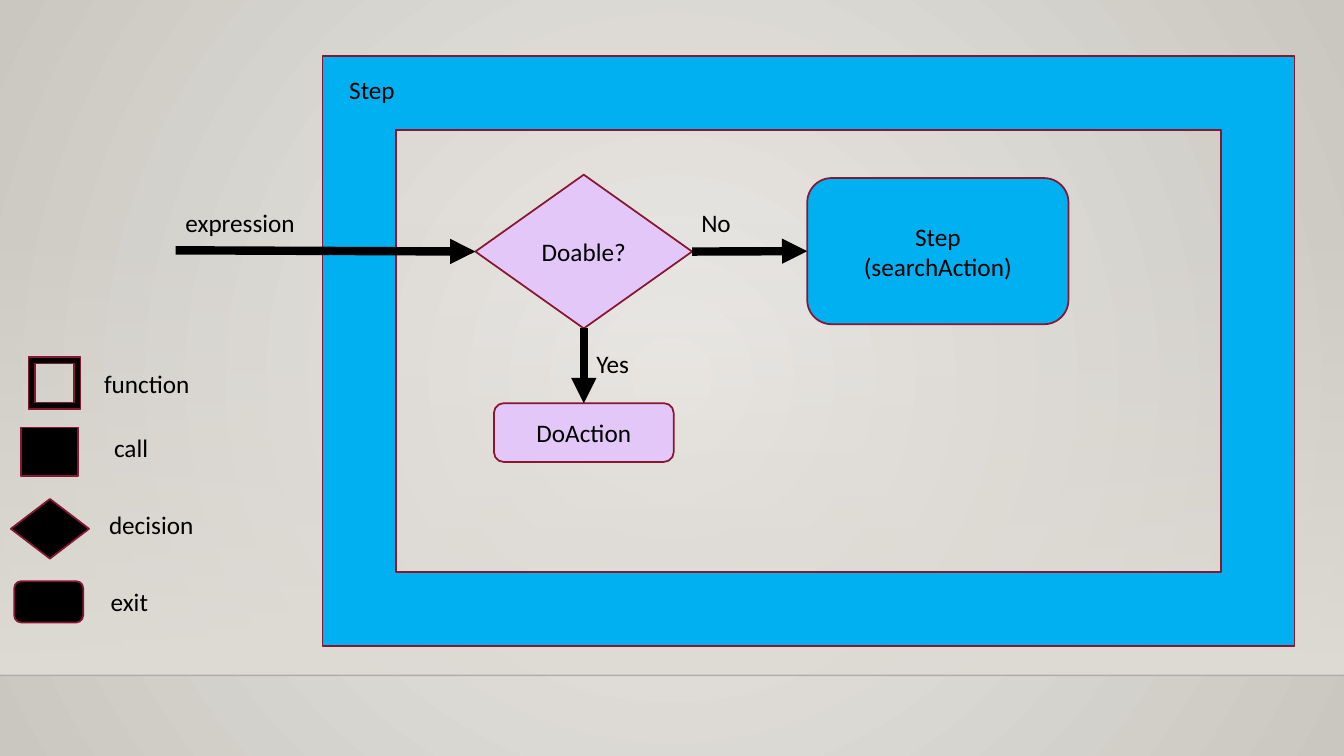
import pptx
import pptx.dml.color
import pptx.enum.shapes
import pptx.enum.text
import pptx.oxml
import pptx.oxml.ns
import pptx.util

SHAPE = pptx.enum.shapes.MSO_SHAPE
ALIGN = pptx.enum.text.PP_ALIGN
ANCHOR = pptx.enum.text.MSO_ANCHOR
FIT = pptx.enum.text.MSO_AUTO_SIZE

WIDTH, HEIGHT = 13.33, 7.5
COLS, ROWS = 160, 90
LABEL_ROWS = 4.8
HORIZON = 80.4

THEME = {
    "font": "Calibri",
    "size": 18,
    "ink": "000000",
    "step": "00B0F0",
    "action": "E4C7F9",
    "outline": "871631",
    "outline_width": 1.25,
    "arrow_width": 6,
    "horizon": "000001",
    "horizon_width": 1,
    "glow": [(0, "ECEAE7", 100), (100, "CAC7C1", 100)],
    "wall": [(0, "DFDBD5", 0), (100, "DFDBD5", 100)],
}

# symbol, its box, label, label's column, row and width
LEGEND = [
    (SHAPE.FRAME, (3.4, 42.5, 6.2, 6.2), "function", (11.2, 43.3, 15.8)),
    (SHAPE.RECTANGLE, (2.5, 50.9, 6.8, 5.8), "call", (12.4, 50.9, 10.3)),
    (SHAPE.DIAMOND, (1.3, 59.4, 9.3, 7.1), "decision", (11.8, 60, 13.8)),
    (SHAPE.ROUNDED_RECTANGLE, (1.7, 69.2, 8.2, 4.9), "exit", (12, 69.2, 9.5)),
]

LABELS = [
    ("Step", (40.4, 8.2, 44.6)),
    ("expression", (20.9, 24.1, 18.4)),
    ("No", (82.3, 24.1, 7.3)),
    ("Yes", (69.8, 40.9, 9.4)),
]


def rgb(value):
    return pptx.dml.color.RGBColor.from_string(value)


def col(n):
    return pptx.util.Inches(n * WIDTH / COLS)


def row(n):
    return pptx.util.Inches(n * HEIGHT / ROWS)


def grid(x, y, w, h):
    return col(x), row(y), col(w), row(h)


def set_all(obj, values):
    for name, value in values.items():
        setattr(obj, name, value)


def xml(text):
    """Parse a fragment whose root takes the a: and p: namespaces."""
    head, tail = text.split(">", 1)
    slash = "/" if head.endswith("/") else ""
    names = pptx.oxml.ns.nsdecls("a", "p")
    return pptx.oxml.parse_xml(f"{head.rstrip('/')} {names}{slash}>{tail}")


def gradient(stops, direction):
    """XML text of a gradient; stops are (position, colour, opacity) in percent."""
    marks = "".join(
        f'<a:gs pos="{pos * 1000}"><a:srgbClr val="{color}">'
        f'<a:alpha val="{alpha * 1000}"/></a:srgbClr></a:gs>'
        for pos, color, alpha in stops
    )
    return f"<a:gradFill><a:gsLst>{marks}</a:gsLst>{direction}</a:gradFill>"


def write(tf, lines, align):
    for i, line in enumerate(lines):
        p = tf.paragraphs[0] if i == 0 else tf.add_paragraph()
        p.alignment = align
        r = p.add_run()
        r.text = line
        set_all(r.font, {"name": THEME["font"], "size": pptx.util.Pt(THEME["size"])})
        r.font.color.rgb = rgb(THEME["ink"])


def add_box(slide, kind, box, fill, lines=()):
    sp = slide.shapes.add_shape(kind, *grid(*box))
    sp.shadow.inherit = False
    sp.fill.solid()
    sp.fill.fore_color.rgb = rgb(fill)
    sp.line.color.rgb = rgb(THEME["outline"])
    sp.line.width = pptx.util.Pt(THEME["outline_width"])
    set_all(sp.text_frame, {"word_wrap": True, "vertical_anchor": ANCHOR.MIDDLE})
    write(sp.text_frame, lines, ALIGN.CENTER)
    return sp


def add_label(slide, text, place):
    tf = slide.shapes.add_textbox(*grid(*place, LABEL_ROWS)).text_frame
    set_all(tf, {"word_wrap": True, "auto_size": FIT.SHAPE_TO_FIT_TEXT})
    write(tf, [text], ALIGN.LEFT)


def add_line(slide, start, end, color, width):
    line = slide.shapes.add_connector(
        pptx.enum.shapes.MSO_CONNECTOR.STRAIGHT,
        col(start[0]), row(start[1]), col(end[0]), row(end[1]),
    )
    line.line.color.rgb = rgb(color)
    line.line.width = pptx.util.Pt(width)
    line._element.spPr.append(xml("<a:effectLst/>"))
    return line


def add_arrow(slide, target, site, source=None, source_site=0, start=(0, 0)):
    """Arrow to a connection site of target, from a source shape or a grid point."""
    arrow = add_line(slide, start, start, THEME["ink"], THEME["arrow_width"])
    if source is not None:
        arrow.begin_connect(source, source_site)
    arrow.end_connect(target, site)
    arrow.line._get_or_add_ln().append(xml('<a:tailEnd type="triangle"/>'))


def add_backdrop(slide):
    circle = (
        '<a:path path="circle"><a:fillToRect l="50000" t="50000" '
        'r="50000" b="50000"/></a:path>'
    )
    fill = gradient(THEME["glow"], circle)
    slide._element.cSld.insert(
        0, xml(f"<p:bg><p:bgPr>{fill}<a:effectLst/></p:bgPr></p:bg>")
    )

    top = 26.5
    wall = slide.shapes.add_shape(
        SHAPE.RECTANGLE, *grid(0, top, COLS, HORIZON - top)
    )
    wall.line.fill.background()
    wall.shadow.inherit = False
    down = '<a:lin ang="5400000" scaled="0"/>'
    wall._element.spPr.insert(2, xml(gradient(THEME["wall"], down)))

    line = add_line(
        slide, (0, HORIZON), (COLS, HORIZON), THEME["horizon"], THEME["horizon_width"]
    )
    color = line._element.spPr.find(".//" + pptx.oxml.ns.qn("a:srgbClr"))
    color.append(xml('<a:alpha val="20000"/>'))


def add_flow(slide):
    step, action = THEME["step"], THEME["action"]
    add_box(slide, SHAPE.FRAME, (38.4, 6.7, 115.7, 70.2), step)
    doable = add_box(
        slide, SHAPE.DIAMOND, (56.6, 20.8, 25.8, 18.3), action, ["Doable?"]
    )
    do_action = add_box(
        slide, SHAPE.ROUNDED_RECTANGLE, (58.8, 48, 21.4, 7), action, ["DoAction"]
    )
    search = add_box(
        slide, SHAPE.ROUNDED_RECTANGLE, (96.1, 21.2, 31.1, 17.4), step,
        ["Step", "(searchAction)"],
    )
    top, left, bottom, right = range(4)
    add_arrow(slide, doable, left, start=(20.9, 29.8))
    add_arrow(slide, search, left, doable, right)
    add_arrow(slide, do_action, top, doable, bottom)
    for text, place in LABELS:
        add_label(slide, text, place)


def add_legend(slide):
    for kind, box, text, place in LEGEND:
        add_box(slide, kind, box, THEME["ink"])
        add_label(slide, text, place)


def main():
    prs = pptx.Presentation()
    set_all(prs, {"slide_width": col(COLS), "slide_height": row(ROWS)})
    slide = prs.slides.add_slide(prs.slide_layouts[6])
    add_backdrop(slide)
    add_flow(slide)
    add_legend(slide)
    prs.save("out.pptx")


if __name__ == "__main__":
    main()
